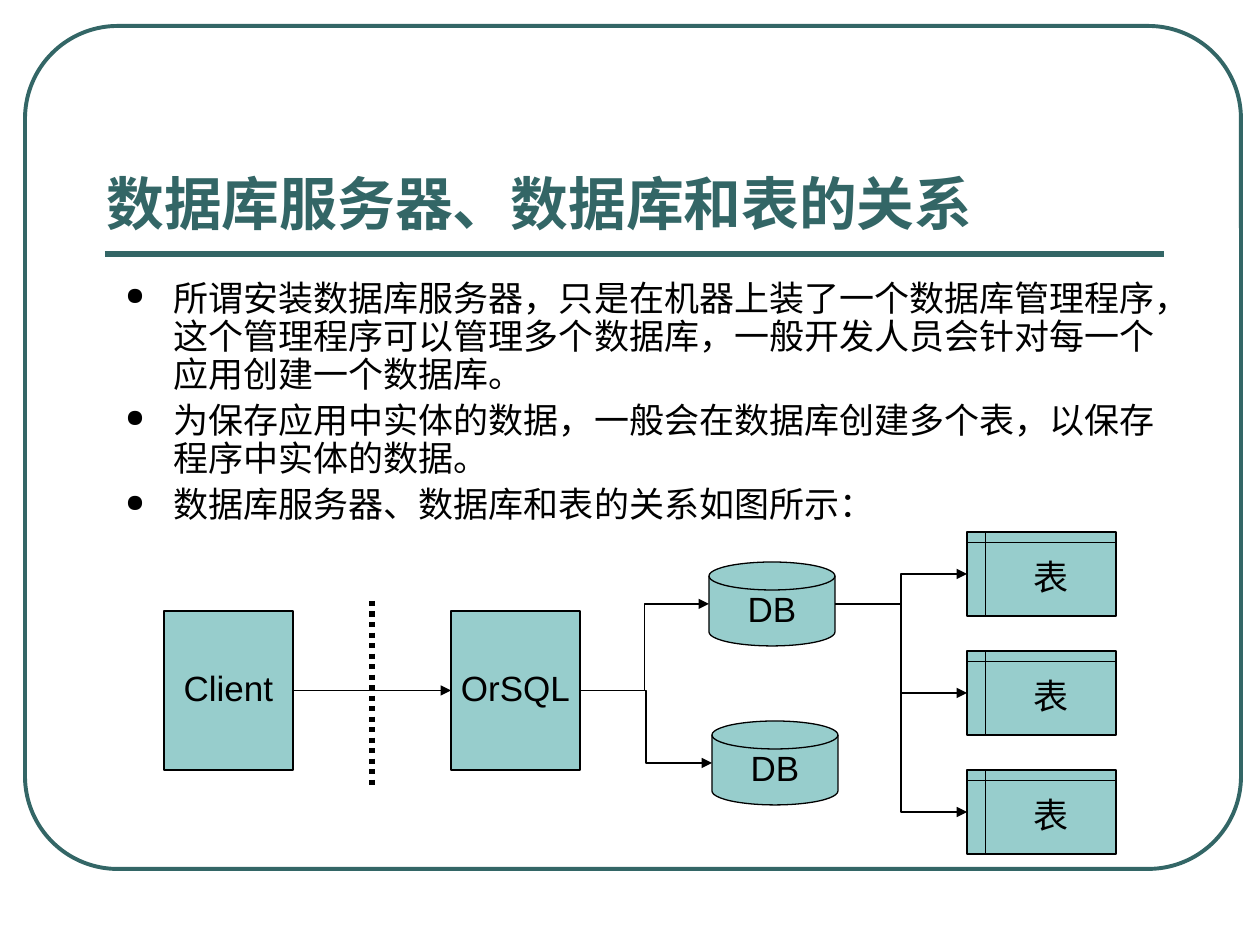
from lxml.etree import SubElement
from pptx import Presentation
from pptx.dml.color import RGBColor
from pptx.enum.dml import MSO_LINE_DASH_STYLE as Dash
from pptx.enum.shapes import MSO_CONNECTOR as Link, MSO_SHAPE as Preset
from pptx.enum.text import MSO_ANCHOR as Anchor, PP_ALIGN as Align
from pptx.oxml.ns import qn
from pptx.util import Pt

TEAL = RGBColor(0x33, 0x66, 0x66)
AQUA = RGBColor(0x97, 0xCD, 0xCC)
BLACK = RGBColor(0, 0, 0)
LATIN, HAN = "Arial", "Noto Sans CJK SC"
EMU_PER_PX = 914400 / 126

TITLE = "数据库服务器、数据库和表的关系"
POINTS = [
    "所谓安装数据库服务器，只是在机器上装了一个数据库管理程序，这个管理程序可以管理多个数据库，一般开发人员会针对每一个应用创建一个数据库。",
    "为保存应用中实体的数据，一般会在数据库创建多个表，以保存程序中实体的数据。",
    "数据库服务器、数据库和表的关系如图所示：",
]
MACHINE_SIZE, DB_SIZE, TABLE_SIZE = (129, 159), (126, 84), (149, 84)
TABLE_TOP, TABLE_PITCH = 532, 119


def px(*lengths):
    """Turn pixel lengths into a list of EMU."""
    return [round(length * EMU_PER_PX) for length in lengths]


def add_run(paragraph, text, size, color, latin=LATIN, bold=False):
    """Add one formatted run with Latin and East Asian fonts."""
    run = paragraph.add_run()
    run.text = text
    font = run.font
    font.size, font.bold, font.name = Pt(size), bold, latin
    font.color.rgb = color
    SubElement(font._element, qn("a:ea"), typeface=HAN)


def add_bullet(paragraph):
    """Give a paragraph a hanging round bullet."""
    indent, = px(48)
    properties = paragraph._p.get_or_add_pPr()
    properties.set("marL", str(indent))
    properties.set("indent", str(-indent))
    color = SubElement(properties, qn("a:buClr"))
    SubElement(color, qn("a:srgbClr"), val=str(BLACK))
    SubElement(properties, qn("a:buSzPct"), val="70000")
    SubElement(properties, qn("a:buChar"), char="●")


def add_frame(slide):
    """Draw the rounded border of the slide."""
    frame = slide.shapes.add_shape(Preset.ROUNDED_RECTANGLE, *px(25, 26, 1216, 843))
    frame.adjustments[0] = 0.11
    frame.shadow.inherit = False
    frame.fill.background()
    frame.line.color.rgb = TEAL
    frame.line.width = Pt(2.25)


def add_title(slide):
    """Write the bottom-anchored title."""
    text = slide.shapes.add_textbox(*px(94, 45, 1061, 198)).text_frame
    text.word_wrap = True
    text.vertical_anchor = Anchor.BOTTOM
    add_run(text.paragraphs[0], TITLE, 33, TEAL, HAN, True)


def add_points(slide):
    """Write the bulleted explanation."""
    text = slide.shapes.add_textbox(*px(113, 275, 1081, 257)).text_frame
    text.word_wrap = True
    for index, point in enumerate(POINTS):
        paragraph = text.add_paragraph() if index else text.paragraphs[0]
        paragraph.line_spacing = 0.9
        if index:
            paragraph.space_before = Pt(5)
        add_bullet(paragraph)
        add_run(paragraph, point, 20, BLACK)


def add_node(slide, preset, label, left, top, size):
    """Draw one labelled node of the diagram."""
    node = slide.shapes.add_shape(preset, *px(left, top, *size))
    node.shadow.inherit = False
    node.fill.solid()
    node.fill.fore_color.rgb = AQUA
    node.line.color.rgb = BLACK
    node.line.width = Pt(0.75)
    text = node.text_frame
    text.word_wrap = False
    text.vertical_anchor = Anchor.MIDDLE
    paragraph = text.paragraphs[0]
    paragraph.alignment = Align.CENTER
    paragraph.line_spacing = 0.9
    add_run(paragraph, label, 20, BLACK)
    return node


def add_line(slide, kind, ends, color, width):
    """Draw a connector between two points given in EMU."""
    connector = slide.shapes.add_connector(kind, *ends)
    connector.line.color.rgb = color
    connector.line.width = Pt(width)
    SubElement(connector._element.spPr, qn("a:effectLst"))
    return connector


def add_arrow(slide, source, target):
    """Point from the right side of one node to the left side of another."""
    start_y = source.top + source.height // 2
    end_y = target.top + target.height // 2
    kind = Link.STRAIGHT if start_y == end_y else Link.ELBOW
    ends = (source.left + source.width, start_y, target.left, end_y)
    arrow = add_line(slide, kind, ends, BLACK, 0.75)
    SubElement(arrow.line._get_or_add_ln(), qn("a:tailEnd"), type="triangle")


def add_diagram(slide):
    """Draw client, server, databases and tables with their arrows."""
    client = add_node(slide, Preset.RECTANGLE, "Client", 164, 611, MACHINE_SIZE)
    server = add_node(slide, Preset.RECTANGLE, "OrSQL", 451, 611, MACHINE_SIZE)
    databases = [
        add_node(slide, Preset.FLOWCHART_MAGNETIC_DISK, "DB", left, top, DB_SIZE)
        for left, top in [(709, 562), (712, 721)]
    ]
    tables = [
        add_node(slide, Preset.FLOWCHART_INTERNAL_STORAGE, "表",
                 967, TABLE_TOP + row * TABLE_PITCH, TABLE_SIZE)
        for row in range(3)
    ]
    add_arrow(slide, client, server)
    for database in databases:
        add_arrow(slide, server, database)
    for table in tables:
        add_arrow(slide, databases[0], table)
    boundary = add_line(slide, Link.STRAIGHT, px(372, 601, 372, 790), BLACK, 3)
    boundary.line.dash_style = Dash.ROUND_DOT


def main():
    """Build and save the slide."""
    deck = Presentation()
    deck.slide_width, deck.slide_height = px(1260, 945)
    slide = deck.slides.add_slide(deck.slide_layouts[6])
    add_frame(slide)
    add_line(slide, Link.STRAIGHT, px(105, 254, 1164, 254), TEAL, 3)
    add_title(slide)
    add_diagram(slide)
    add_points(slide)
    deck.save("out.pptx")


if __name__ == "__main__":
    main()
